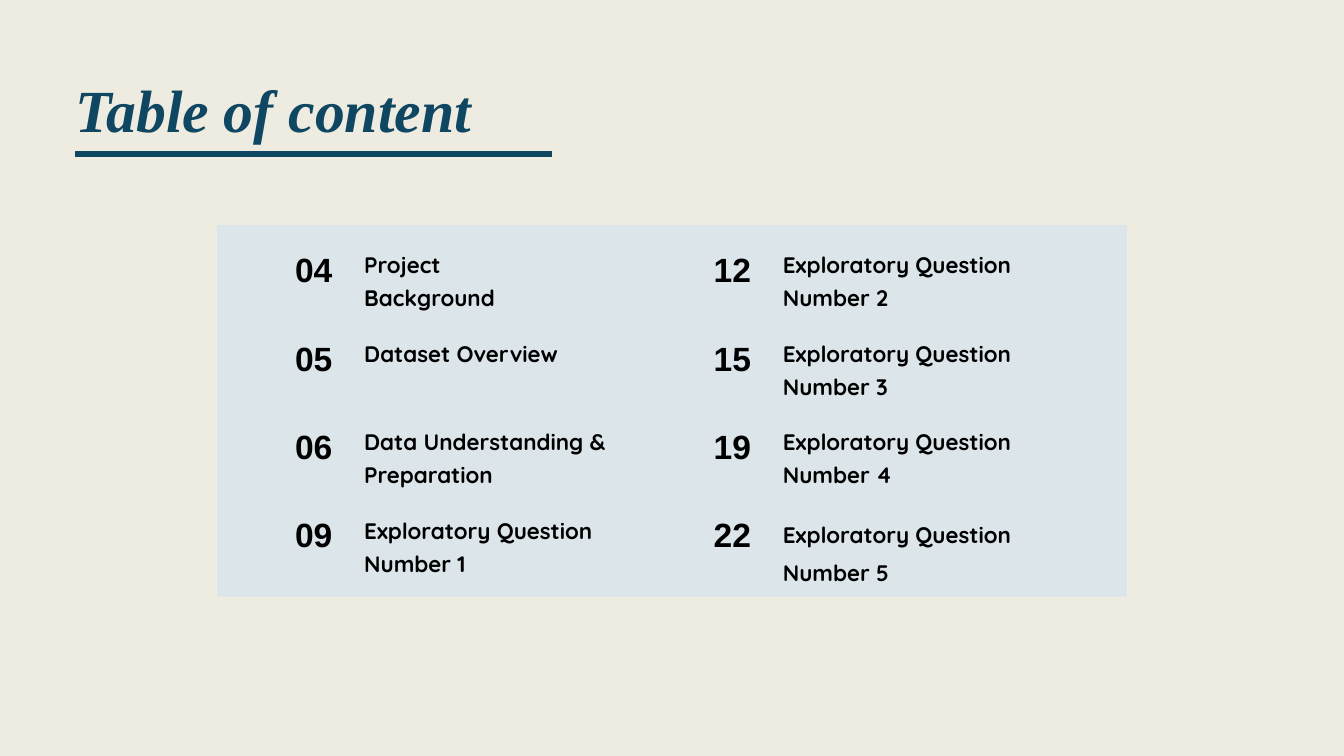
from dataclasses import dataclass

from lxml import etree
from pptx import Presentation
from pptx.dml.color import RGBColor
from pptx.enum.shapes import MSO_CONNECTOR, MSO_SHAPE
from pptx.enum.text import MSO_ANCHOR, MSO_AUTO_SIZE, PP_ALIGN
from pptx.oxml.ns import qn
from pptx.util import Inches, Pt

RECTANGLE = MSO_SHAPE.RECTANGLE
STRAIGHT = MSO_CONNECTOR.STRAIGHT
TOP = MSO_ANCHOR.TOP
GROW = MSO_AUTO_SIZE.SHAPE_TO_FIT_TEXT
LEFT = PP_ALIGN.LEFT


@dataclass(frozen=True)
class Theme:
    background: str = "EEECE1"
    panel: str = "DBE5EA"
    accent: str = "0F4662"
    ink: str = "000000"
    title_font: str = "Times New Roman"
    number_font: str = "Arial"
    body_font: str = "Quicksand"
    title_size: int = 64
    number_size: int = 36
    body_size: int = 24
    rule_width: int = 6


THEME = Theme()

# Columns of (page, topic, topic width, line spacing)
CONTENTS = [
    [
        ("04", "Project Background", 2.91, 1.23),
        ("05", "Dataset Overview", 2.91, 1.23),
        ("06", "Data Understanding & Preparation", 4.44, 1.23),
        ("09", "Exploratory Question Number 1", 4.44, 1.23),
    ],
    [
        ("12", "Exploratory Question Number 2", 3.54, 1.23),
        ("15", "Exploratory Question Number 3", 3.96, 1.23),
        ("19", "Exploratory Question Number 4", 3.54, 1.23),
        ("22", "Exploratory Question Number 5", 3.54, 1.4),
    ],
]


def write_text(sp, text, *, font, size, color, spacing, italic=False):
    """Fill a shape with one bold, left-aligned paragraph without margins."""
    tf = sp.text_frame
    tf.word_wrap = True
    tf.auto_size = GROW
    tf.vertical_anchor = TOP
    tf.margin_left = tf.margin_right = tf.margin_top = tf.margin_bottom = 0
    p = tf.paragraphs[0]
    p.alignment = LEFT
    p.line_spacing = spacing
    r = p.add_run()
    r.text = text
    r.font.name = font
    r.font.size = Pt(size)
    r.font.bold = True
    r.font.italic = italic
    r.font.color.rgb = RGBColor.from_string(color)


def add_heading(s, left, top, width, height):
    # Title
    sp = s.shapes.title
    sp.left, sp.top = Inches(left), Inches(top)
    sp.width, sp.height = Inches(width), Inches(height)
    write_text(sp, "Table of content", font=THEME.title_font, size=THEME.title_size,
               color=THEME.accent, spacing=1.4, italic=True)

    # Rule under the title
    y = Inches(top + 1.63)
    rule = s.shapes.add_connector(STRAIGHT, Inches(left), y, Inches(left + 7.1), y)
    rule.line.color.rgb = RGBColor.from_string(THEME.accent)
    rule.line.width = Pt(THEME.rule_width)
    etree.SubElement(rule._element.spPr, qn("a:effectLst"))


def add_entry(s, left, top, page, topic, width, spacing):
    number = s.shapes.add_textbox(Inches(left), Inches(top), Inches(0.71), Inches(0.61))
    write_text(number, page, font=THEME.number_font, size=THEME.number_size,
               color=THEME.ink, spacing=1.24)
    label = s.shapes.add_textbox(Inches(left + 1.03), Inches(top + 0.09),
                                 Inches(width), Inches(0.9))
    write_text(label, topic, font=THEME.body_font, size=THEME.body_size,
               color=THEME.ink, spacing=spacing)


def add_contents(s, left, top, width, height):
    # Panel
    panel = s.shapes.add_shape(RECTANGLE, Inches(left), Inches(top),
                               Inches(width), Inches(height))
    panel.shadow.inherit = False
    panel.fill.solid()
    panel.fill.fore_color.rgb = RGBColor.from_string(THEME.panel)
    panel.line.fill.background()

    # Entries in two columns
    column_step, row_step = 6.23, 1.317
    for col, entries in enumerate(CONTENTS):
        for row, entry in enumerate(entries):
            add_entry(s, left + 1.16 + col * column_step,
                      top + 0.21 + row * row_step, *entry)


def main():
    prs = Presentation()
    prs.slide_width, prs.slide_height = Inches(20), Inches(11.25)
    s = prs.slides.add_slide(prs.slide_layouts[5])
    s.background.fill.solid()
    s.background.fill.fore_color.rgb = RGBColor.from_string(THEME.background)
    add_heading(s, 1.12, 0.66, 8.8, 1.2)
    add_contents(s, 3.23, 3.35, 13.54, 5.53)
    prs.save("out.pptx")


if __name__ == "__main__":
    main()
